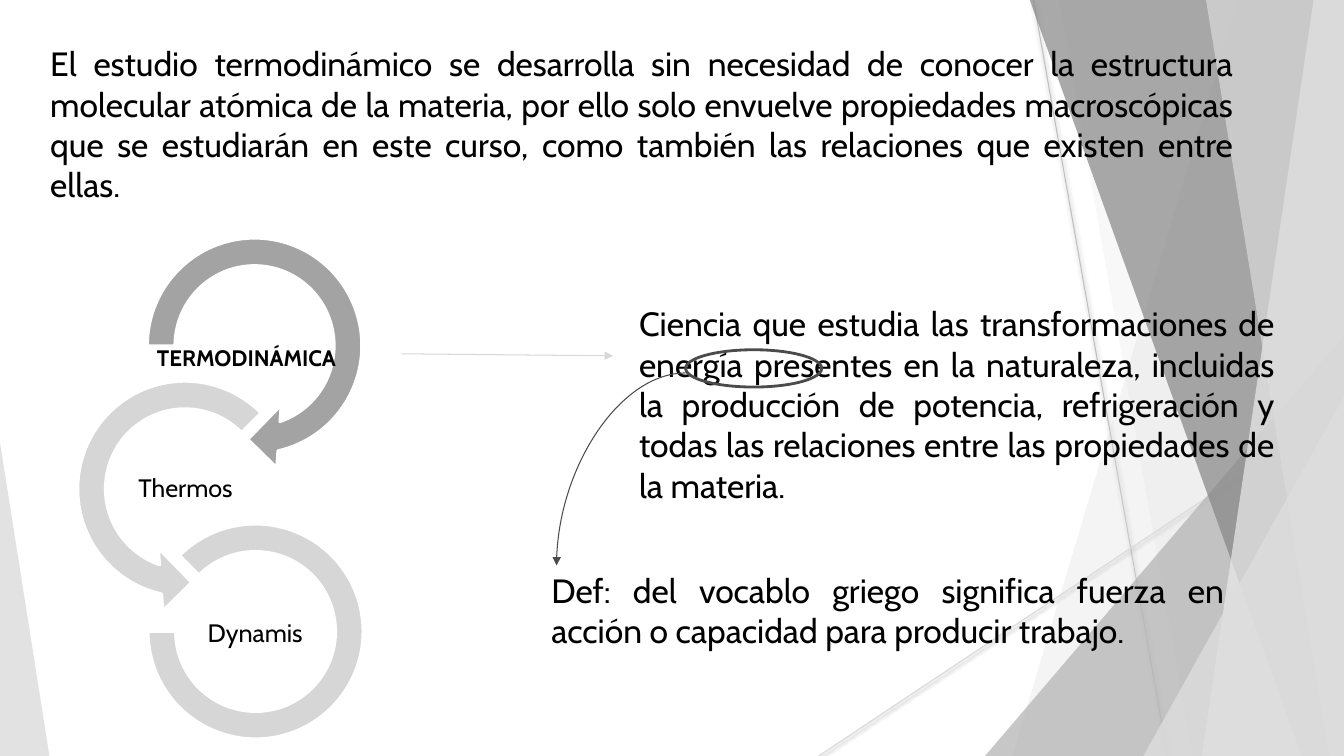
import lxml.etree
import pptx
import pptx.dml.color
import pptx.enum.shapes
import pptx.enum.text
import pptx.oxml.ns
import pptx.util

SHAPE = pptx.enum.shapes.MSO_SHAPE
CONNECTOR = pptx.enum.shapes.MSO_CONNECTOR
ALIGN = pptx.enum.text.PP_ALIGN
ANCHOR = pptx.enum.text.MSO_ANCHOR
FIT = pptx.enum.text.MSO_AUTO_SIZE

# Grid of square cells, ten to the inch
COLS, ROWS = 133.3, 75
CELL = pptx.util.Inches(0.1)


class Theme:
    font = "Cabin"
    body, label, strong = 24, 18, 16
    hairline, outline = 0.75, 2
    text, paper = "000000", "FFFFFF"
    dark, ring, ring_light, arrow = "4B4B4B", "A3A3A3", "D6D6D6", "D8D8D8"
    ray, ray_light, shadow = "BFBFBF", "D9D9D9", "000000"
    pale, mid, deep, faint = "DDDDDD", "B2B2B2", "858585", "EBEBEB"


def grid(*cells):
    return [round(c * CELL) for c in cells]


def rgb(color):
    return pptx.dml.color.RGBColor.from_string(color)


def assign(obj, values):
    for name, value in values.items():
        setattr(obj, name, value)


def add_xml(parent, tag, **attrs):
    values = {name: str(value) for name, value in attrs.items()}
    return lxml.etree.SubElement(parent, pptx.oxml.ns.qn(tag), values)


class SlideBuilder:
    def __init__(self, prs, theme):
        self.theme = theme
        self.s = prs.slides.add_slide(prs.slide_layouts[6])

    def paint(self, sp, fill=None, alpha=None, line=None):
        sp.shadow.inherit = False
        if fill:
            sp.fill.solid()
            sp.fill.fore_color.rgb = rgb(fill)
        else:
            sp.fill.background()
        if alpha:
            color = sp._element.spPr.find(".//" + pptx.oxml.ns.qn("a:srgbClr"))
            add_xml(color, "a:alpha", val=alpha * 1000)
        if line:
            sp.line.color.rgb = rgb(line)
            sp.line.width = pptx.util.Pt(self.theme.outline)
        else:
            sp.line.fill.background()

    def shape(self, kind, box, adj=(), **style):
        sp = self.s.shapes.add_shape(kind, *grid(*box))
        for i, value in enumerate(adj):
            sp.adjustments[i] = value
        self.paint(sp, **style)

    def sheet(self, top, bottom, fill, alpha):
        """Panel from a slanted left edge to the right edge of the slide."""
        y = -0.1
        fb = self.s.shapes.build_freeform(*grid(top, y))
        corners = [(COLS, y), (COLS, ROWS), (bottom, ROWS)]
        fb.add_line_segments([grid(*c) for c in corners], close=True)
        self.paint(fb.convert_to_shape(), fill, alpha)

    def line(self, start, end, color, head=False, shadow=False, curved=False):
        kind = CONNECTOR.CURVE if curved else CONNECTOR.STRAIGHT
        cx = self.s.shapes.add_connector(kind, *grid(*start, *end))
        cx.line.color.rgb = rgb(color)
        cx.line.width = pptx.util.Pt(self.theme.hairline)
        props = cx._element.spPr
        if curved:
            props.find(pptx.oxml.ns.qn("a:prstGeom")).set("prst", "curvedConnector2")
        if head:
            add_xml(props.find(pptx.oxml.ns.qn("a:ln")), "a:tailEnd", type="triangle")
        effects = add_xml(props, "a:effectLst")
        if shadow:
            outer = add_xml(effects, "a:outerShdw", blurRad=pptx.util.Pt(3.1).emu,
                            dist=pptx.util.Pt(1.6).emu, dir=90 * 60000)
            tint = add_xml(outer, "a:srgbClr", val=self.theme.shadow)
            add_xml(tint, "a:alpha", val=38000)

    def text(self, box, text, size, frame, para, bold=False):
        tf = self.s.shapes.add_textbox(*grid(*box)).text_frame
        assign(tf, {"word_wrap": True, **frame})
        p = tf.paragraphs[0]
        assign(p, para)
        r = p.add_run()
        r.text = text
        assign(r.font, {"name": self.theme.font, "size": pptx.util.Pt(size), "bold": bold})
        r.font.color.rgb = rgb(self.theme.text)

    def body(self, box, text):
        self.text(box, text, self.theme.body, {"auto_size": FIT.SHAPE_TO_FIT_TEXT},
                  {"alignment": ALIGN.JUSTIFY})

    def label(self, box, text, size, bold=False):
        inset = grid(0.1)[0]
        frame = {f"margin_{side}": inset for side in ("left", "top", "right", "bottom")}
        self.text(box, text, size, {"vertical_anchor": ANCHOR.MIDDLE, **frame},
                  {"alignment": ALIGN.CENTER, "line_spacing": 0.9}, bold)


def main():
    prs = pptx.Presentation()
    prs.slide_width, prs.slide_height = grid(COLS, ROWS)
    t = Theme()
    b = SlideBuilder(prs, t)

    # Background rays and translucent facets
    b.line((102.5, 0), (115.8, ROWS), t.ray, shadow=True)
    b.line((COLS, 40.3), (81.2, ROWS), t.ray_light, shadow=True)
    b.sheet(122.8, 100.4, t.pale, 30)
    b.sheet(105, 118.3, t.pale, 20)
    b.shape(SHAPE.ISOSCELES_TRIANGLE, (97.7, 33.3, 35.6, 41.7), [1], fill=t.mid, alpha=72)
    b.sheet(102.1, 129.1, t.deep, 70)
    b.sheet(130.3, 119.2, t.faint, 70)
    b.sheet(119.6, 131.8, t.pale, 65)
    b.shape(SHAPE.ISOSCELES_TRIANGLE, (113.4, 39.3, 19.9, 35.7), [1], fill=t.pale, alpha=80)
    b.shape(SHAPE.ISOSCELES_TRIANGLE, (0, 43.9, 4.9, 31.1), [0], fill=t.pale, alpha=85)

    # Introduction
    b.body((4, 3.8, 119.3, 17.2),
           "El estudio termodinámico se desarrolla sin necesidad de conocer la estructura "
           "molecular atómica de la materia, por ello solo envuelve propiedades macroscópicas "
           "que se estudiarán en este curso, como también las relaciones que existen entre ellas.")

    # Chain of circular arrows with their labels
    b.shape(SHAPE.CIRCULAR_ARROW, (12.9, 21.9, 24.7, 24.8),
            [0.11, 11.42, 45, 108, 0.125], fill=t.ring, line=t.paper)
    b.label((11.4, 32.2, 26.1, 6.9), "TERMODINÁMICA", t.strong, bold=True)
    b.shape(SHAPE.LEFT_CIRCULAR_ARROW, (6, 36.1, 24.7, 24.8),
            [0.11, 11.42, 63, 189, 0.125], fill=t.ring_light, line=t.paper)
    b.label((11.5, 45.1, 13.8, 6.9), "Thermos", t.label)
    b.shape(SHAPE.BLOCK_ARC, (14.7, 52, 21.3, 21.3),
            [135, 108, 0.127], fill=t.ring_light, line=t.paper)
    b.label((18.4, 59.5, 13.8, 6.9), "Dynamis", t.label)

    # Definition of thermodynamics
    b.line((39.8, 35.1), (60.8, 35.3), t.arrow, head=True)
    b.body((62.4, 29.6, 65, 21.2),
           "Ciencia que estudia las transformaciones de energía presentes en la naturaleza, "
           "incluidas la producción de potencia, refrigeración y todas las relaciones entre "
           "las propiedades de la materia.")

    # Highlighted word and its meaning
    b.shape(SHAPE.OVAL, (68, 34.7, 13.5, 3.7), line=t.dark)
    b.line((68, 37), (55.2, 56.1), t.dark, head=True, curved=True)
    b.body((53.7, 56, 68.7, 9.1),
           "Def: del vocablo griego significa fuerza en acción o capacidad para producir trabajo.")

    prs.save("out.pptx")


if __name__ == "__main__":
    main()
